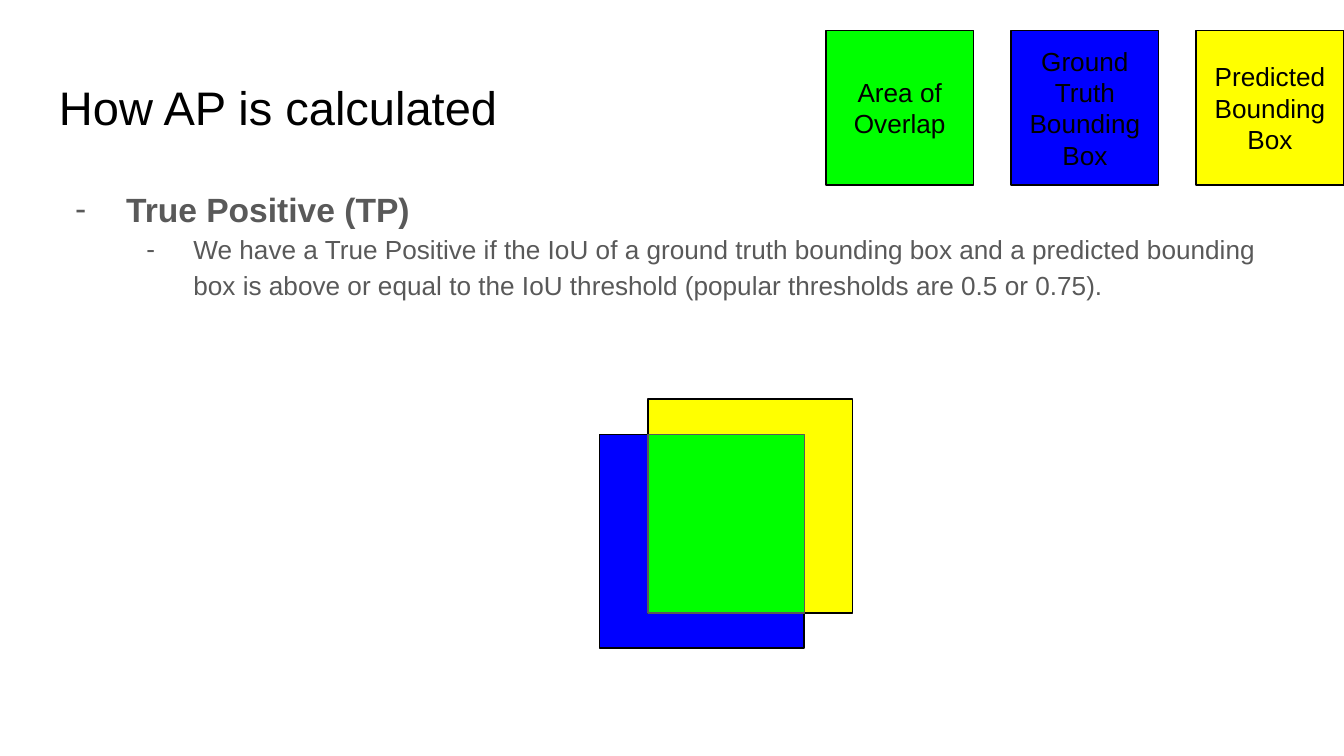
from dataclasses import dataclass
from lxml.etree import SubElement as Sub
from pptx import Presentation
from pptx.dml.color import RGBColor as Rgb
from pptx.enum.shapes import MSO_SHAPE as Kind
from pptx.enum.text import MSO_ANCHOR as Anchor, PP_ALIGN as Align
from pptx.oxml.ns import qn
from pptx.util import Inches, Pt

COLS, ROWS = 1000, 562.5
FONT = "Arial"
HUES = {
    "ink": "000000",
    "gray": "595959",
    "truth": "0000FF",
    "guess": "FFFF00",
    "shared": "00FF00",
}


@dataclass
class Area:
    col: float
    row: float
    wide: float
    high: float


@dataclass
class Box:
    area: Area
    fill: str
    edge: str = "ink"
    label: str = ""


@dataclass
class Point:
    text: str
    size: float
    left: float
    hang: float
    level: int = 0
    bold: bool = False


deck = Presentation()
deck.slide_width = Inches(10)
deck.slide_height = deck.slide_width * 9 // 16
slide = deck.slides.add_slide(deck.slide_layouts[6])


def hue(name: str) -> Rgb:
    return Rgb.from_string(HUES[name])


def place(area: Area) -> tuple[int, ...]:
    wide, high = deck.slide_width / COLS, deck.slide_height / ROWS
    return (round(area.col * wide), round(area.row * high),
            round(area.wide * wide), round(area.high * high))


def pad(frame) -> None:
    frame.word_wrap = True
    frame.margin_left = frame.margin_right = Inches(0.1)
    frame.margin_top = frame.margin_bottom = Inches(0.1)


def write(para, text: str, size: float, tone: str, bold: bool = False) -> None:
    run = para.add_run()
    run.text = text
    font = run.font
    font.name, font.size, font.bold = FONT, Pt(size), bold
    font.color.rgb = hue(tone)


def add_text(area: Area):
    frame = slide.shapes.add_textbox(*place(area)).text_frame
    pad(frame)
    return frame


def add_dash(para, point: Point) -> None:
    para.level = point.level
    para.line_spacing = 1.15
    props = para._p.get_or_add_pPr()
    props.set("marL", str(Inches(point.left)))
    props.set("indent", str(-Inches(point.hang)))
    tone = Sub(props, qn("a:buClr"))
    Sub(tone, qn("a:srgbClr"), val=HUES["gray"])
    Sub(props, qn("a:buFont"), typeface=FONT)
    Sub(props, qn("a:buChar"), char="-")


def add_box(box: Box) -> None:
    shape = slide.shapes.add_shape(Kind.RECTANGLE, *place(box.area))
    shape.shadow.inherit = False
    shape.fill.solid()
    shape.fill.fore_color.rgb = hue(box.fill)
    shape.line.color.rgb = hue(box.edge)
    shape.line.width = Pt(0.75)
    if box.label:
        frame = shape.text_frame
        pad(frame)
        frame.vertical_anchor = Anchor.MIDDLE
        para = frame.paragraphs[0]
        para.alignment = Align.CENTER
        write(para, box.label, 14, "ink")


title = add_text(Area(34, 48.7, 932, 63))
write(title.paragraphs[0], "How AP is calculated", 25.2, "ink")

points = [
    Point("True Positive (TP)", 18, 0.5, 0.38, bold=True),
    Point("We have a True Positive if the IoU of a ground truth bounding box "
          "and a predicted bounding box is above or equal to the IoU threshold "
          "(popular thresholds are 0.5 or 0.75).", 14, 1, 0.35, level=1),
]
body = add_text(Area(34, 126, 932, 125))
for num, point in enumerate(points):
    para = body.add_paragraph() if num else body.paragraphs[0]
    add_dash(para, point)
    write(para, point.text, point.size, "gray", point.bold)

legend = [
    ("shared", "Area of Overlap"),
    ("truth", "Ground Truth Bounding Box"),
    ("guess", "Predicted Bounding Box"),
]
wide, step = 110, 137.75
start = COLS - wide - step * (len(legend) - 1)
for num, (fill, label) in enumerate(legend):
    add_box(Box(Area(start + num * step, 22.6, wide, 115), fill, label=label))

truth = Area(446, 323.3, 152.4, 159)
guess = Area(482, 297, 152.4, 159)
shared = Area(guess.col, truth.row,
              truth.col + truth.wide - guess.col,
              guess.row + guess.high - truth.row)
add_box(Box(truth, "truth"))
add_box(Box(guess, "guess"))
add_box(Box(shared, "shared", "gray"))

deck.save("out.pptx")
